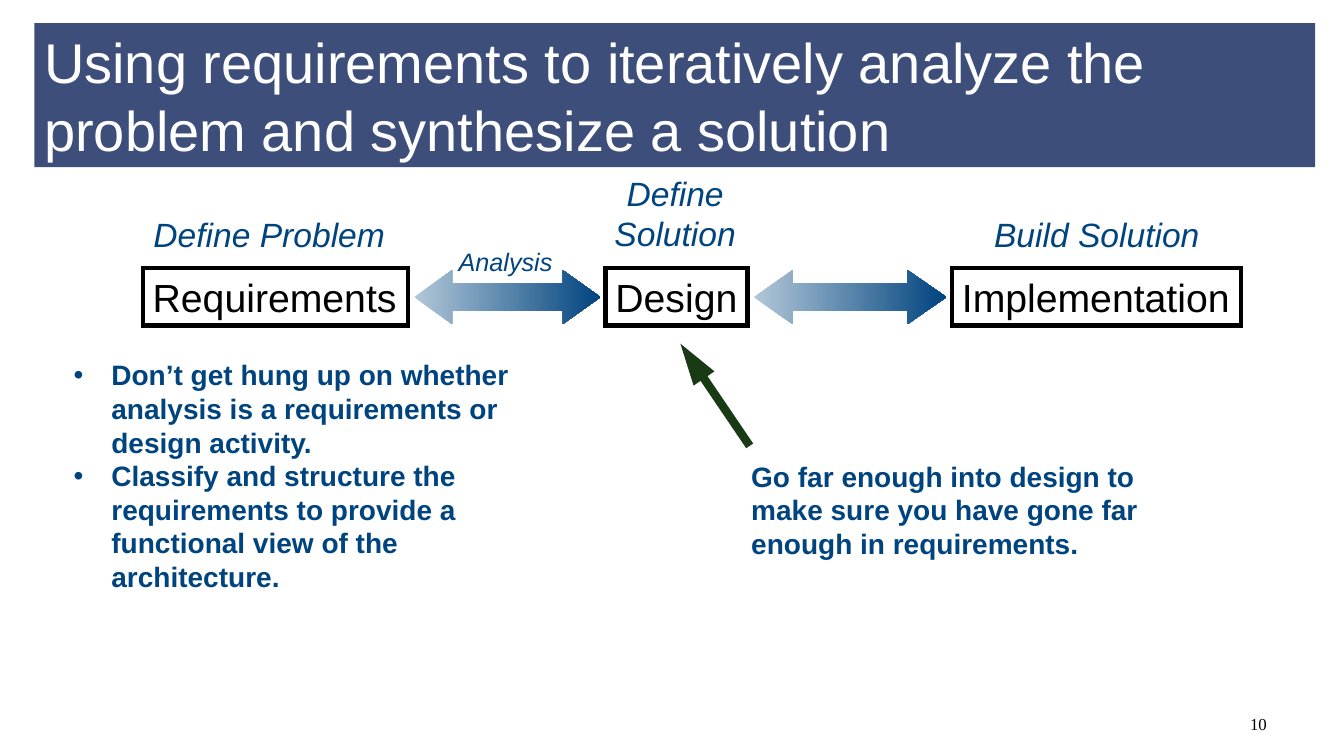
from lxml.etree import SubElement as Sub
from pptx import Presentation
from pptx.dml.color import RGBColor as Rgb
from pptx.enum.shapes import MSO_CONNECTOR as Conn, MSO_SHAPE as Kind
from pptx.enum.text import MSO_ANCHOR as Anchor, PP_ALIGN as Align
from pptx.oxml.ns import qn
from pptx.util import Pt

HUES = {"band": "3D4E7B", "white": "FFFFFF", "black": "000000",
        "navy": "00447F", "pale": "B2C7D8", "green": "1A3A15"}


def hue(name):
    """Return the named colour."""
    return Rgb.from_string(HUES[name])


def place(box):
    """Turn left, top, width and height into lengths."""
    return [Pt(n) for n in box]


def write(shape, text, size, tint="navy", font="Arial", bold=False,
          slant=False, align=Align.LEFT, anchor=Anchor.TOP, wrap=True):
    """Fill a shape with text in one style."""
    frame = shape.text_frame
    frame.text = text
    frame.word_wrap = wrap
    frame.vertical_anchor = anchor
    for para in frame.paragraphs:
        para.alignment = align
        for run in para.runs:
            run.font.name = font
            run.font.size = Pt(size)
            run.font.bold = bold
            run.font.italic = slant
            run.font.color.rgb = hue(tint)


def label(slide, box, text, size, **style):
    """Add a text box."""
    shape = slide.shapes.add_textbox(*place(box))
    write(shape, text, size, **style)
    return shape


def block(slide, kind, box):
    """Add a plain shape with no shadow, fill or line."""
    shape = slide.shapes.add_shape(kind, *place(box))
    shape.shadow.inherit = False
    shape.fill.background()
    shape.line.fill.background()
    return shape


def title(slide, text):
    """Add the title band."""
    band = block(slide, Kind.RECTANGLE, (24.5, 16.5, 915, 103))
    band.fill.solid()
    band.fill.fore_color.rgb = hue("band")
    write(band, text, 40, tint="white", anchor=Anchor.MIDDLE)


def stage(slide, left, width, text):
    """Add a framed stage of the process."""
    frame = block(slide, Kind.RECTANGLE, (left, 191.5, width, 41))
    frame.line.color.rgb = hue("black")
    frame.line.width = Pt(3)
    Sub(frame.line._get_or_add_ln(), qn("a:miter"), lim="800000")
    write(frame, text, 28, tint="black", wrap=False)


def swap(slide, left, width, head):
    """Add a shaded two-way arrow between stages."""
    arrow = block(slide, Kind.LEFT_RIGHT_ARROW, (left, 193, width, 38.5))
    arrow.adjustments[0] = 0.5
    arrow.adjustments[1] = head
    arrow.fill.gradient()
    arrow.fill.gradient_angle = 0
    for stop, name in zip(arrow.fill.gradient_stops, ("pale", "navy")):
        stop.color.rgb = hue(name)


def bullets(slide, box, items):
    """Add a bold bulleted list."""
    shape = label(slide, box, "\n".join(items), 20, bold=True)
    for para in shape.text_frame.paragraphs:
        props = para._p.get_or_add_pPr()
        props.set("marL", str(Pt(27)))
        props.set("indent", str(-Pt(27)))
        Sub(props, qn("a:buFont"), typeface="Arial")
        Sub(props, qn("a:buChar"), char="•")


def pointer(slide, start, end):
    """Add a thick line with a long arrowhead at its end."""
    line = slide.shapes.add_connector(Conn.STRAIGHT, *place(start + end))
    line.line.color.rgb = hue("green")
    line.line.width = Pt(6)
    Sub(line.line._get_or_add_ln(), qn("a:tailEnd"), type="triangle",
        len="lg")
    Sub(line._element.spPr, qn("a:effectLst"))


def main():
    """Build and save the slide."""
    deck = Presentation()
    deck.slide_width, deck.slide_height = Pt(960), Pt(540)
    slide = deck.slides.add_slide(deck.slide_layouts[6])
    title(slide, "Using requirements to iteratively analyze the "
                 "problem and synthesize a solution")
    label(slide, (529.5, 324.5, 300, 80),
          "Go far enough into design to make sure you have gone far "
          "enough in requirements.", 20, bold=True)
    pointer(slide, (535.5, 318.5), (486, 245.5))
    for left, width, text in ((102, 189.5, "Requirements"),
                              (432.5, 101.5, "Design"),
                              (680, 206.5, "Implementation")):
        stage(slide, left, width, text)
    swap(slide, 296, 133, 0.7)
    swap(slide, 538.5, 137.5, 0.72)
    for box, text, align in (
            ((102.5, 149, 188.5, 36), "Define Problem", Align.LEFT),
            ((431.5, 120, 101.5, 65.5), "Define Solution", Align.CENTER),
            ((703, 149, 161, 36), "Build Solution", Align.LEFT)):
        label(slide, box, text, 24, slant=True, align=align)
    label(slide, (320.5, 172.5, 90, 29), "Analysis", 18, slant=True)
    bullets(slide, (45.5, 252, 341, 201), (
        "Don’t get hung up on whether analysis is a requirements or "
        "design activity.",
        "Classify and structure the requirements to provide a functional "
        "view of the architecture."))
    label(slide, (688, 492, 224, 36), "10", 12, tint="black",
          font="Times New Roman", align=Align.RIGHT, anchor=Anchor.BOTTOM)
    deck.save("out.pptx")


if __name__ == "__main__":
    main()
